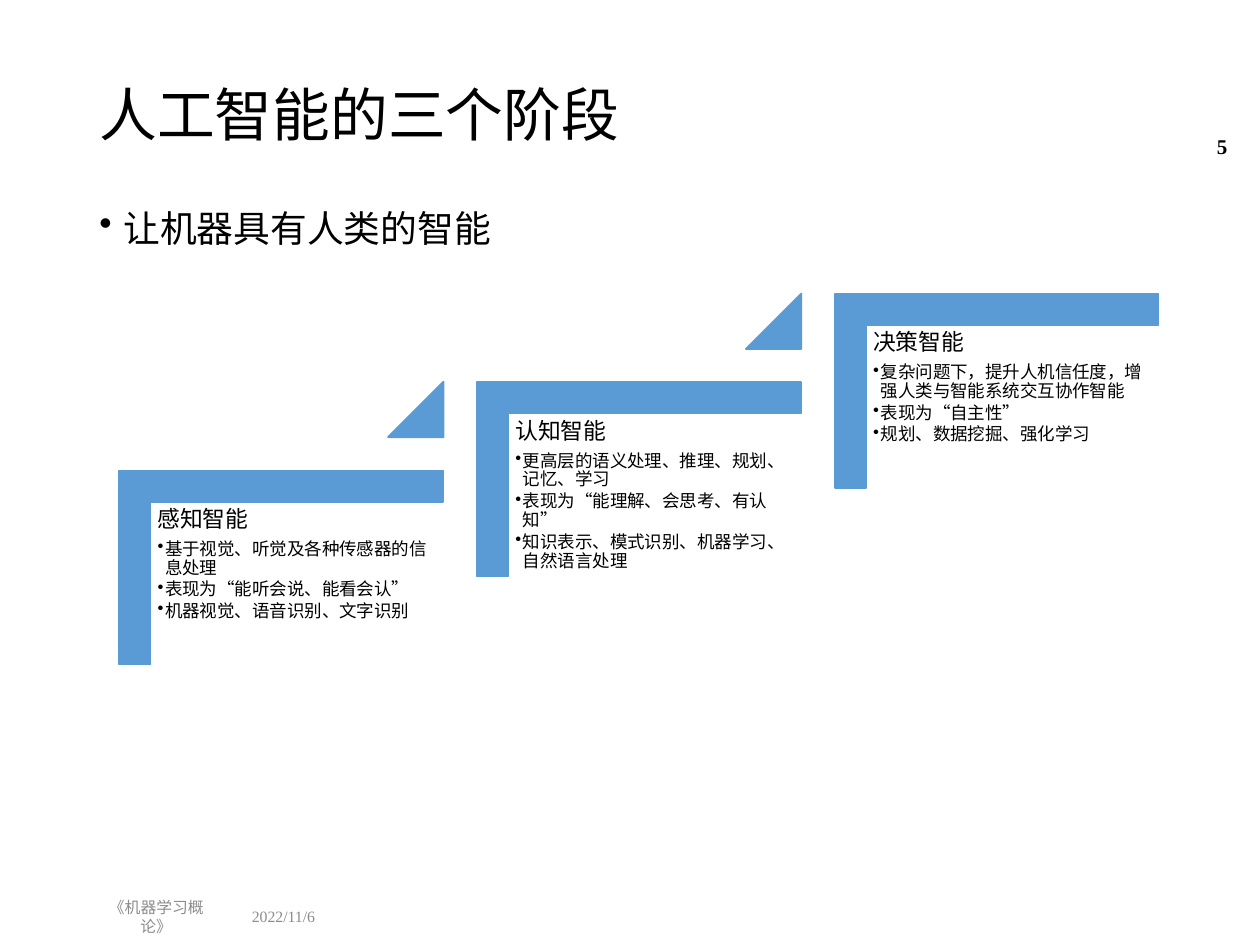
import pptx
import pptx.util
import pptx.dml.color
import pptx.enum.shapes
import pptx.enum.text
import pptx.oxml.ns
import lxml.etree

Inches, Pt = pptx.util.Inches, pptx.util.Pt
ALIGN = pptx.enum.text.PP_ALIGN
ANCHOR = pptx.enum.text.MSO_ANCHOR
SHAPE = pptx.enum.shapes.MSO_SHAPE
FONT, BLACK, GREY, BLUE = "Times New Roman", "000000", "8C8C8C", "5B9BD5"

# Content
TITLE = "人工智能的三个阶段"
STATEMENT = "让机器具有人类的智能"
STAGES = [
    ("感知智能", ["基于视觉、听觉及各种传感器的信息处理",
              "表现为“能听会说、能看会认”",
              "机器视觉、语音识别、文字识别"]),
    ("认知智能", ["更高层的语义处理、推理、规划、记忆、学习",
              "表现为“能理解、会思考、有认知”",
              "知识表示、模式识别、机器学习、自然语言处理"]),
    ("决策智能", ["复杂问题下，提升人机信任度，增强人类与智能系统交互协作智能",
              "表现为“自主性”",
              "规划、数据挖掘、强化学习"]),
]
FOOTERS = [  # text, box, size, colour, bold, alignment
    ("2022/11/6", (1.9, 7.13, 0.91, 0.29), 9, GREY, False, ALIGN.LEFT),
    ("《机器学习概论》", (0.69, 7.13, 1.1, 0.29), 9, GREY, False, ALIGN.CENTER),
    ("5", (9.15, 0.96, 0.69, 0.4), 12, BLACK, True, ALIGN.RIGHT),
]

# Staircase geometry: each stage moves right and up by one step
STEP_X, STEP_Y = 2.84, 0.7
CORNER = (1.46, 3.22, 1.54, 2.57)
STAGE_TEXT = (1.2, 3.98, 2.32, 2.03)
TRIANGLE = (3.08, 3.03, 0.44, 0.44)


def color(value):
    return pptx.dml.color.RGBColor.from_string(value)


def step(box, index):
    left, top, width, height = box
    return left + index * STEP_X, top - index * STEP_Y, width, height


def add_box(slide, box, anchor=ANCHOR.TOP, inset=None):
    frame = slide.shapes.add_textbox(*map(Inches, box)).text_frame
    frame.word_wrap = True
    frame.vertical_anchor = anchor
    if inset is not None:
        frame.margin_left = frame.margin_right = Inches(inset)
        frame.margin_top = frame.margin_bottom = Inches(inset)
    return frame


def write(paragraph, text, size, fill=BLACK, bold=False, align=ALIGN.LEFT,
          spacing=0.9, after=0, indent=None):
    if indent:
        properties = paragraph._p.get_or_add_pPr()
        properties.set("marL", str(Inches(indent)))
        properties.set("indent", str(-Inches(indent)))
        bullet = lxml.etree.SubElement(properties, pptx.oxml.ns.qn("a:buChar"))
        bullet.set("char", "•")
    paragraph.alignment = align
    paragraph.line_spacing = spacing
    paragraph.space_after = Pt(after)
    run = paragraph.add_run()
    run.text = text
    run.font.name = FONT
    run.font.size = Pt(size)
    run.font.bold = bold
    run.font.color.rgb = color(fill)


def add_blue_shape(slide, kind, box, adjustments, rotation=0):
    shape = slide.shapes.add_shape(kind, *map(Inches, box))
    shape.shadow.inherit = False
    shape.rotation = rotation
    for index, value in enumerate(adjustments):
        shape.adjustments[index] = value
    shape.fill.solid()
    shape.fill.fore_color.rgb = color(BLUE)
    shape.line.color.rgb = color(BLUE)
    shape.line.width = Pt(1)
    return shape


def add_corner(slide, box):
    # The "corner" preset has no MSO_SHAPE member; half frame shares its adjustments
    shape = add_blue_shape(slide, SHAPE.HALF_FRAME, box, (0.161, 0.161), 90)
    geometry = shape._element.spPr.find(pptx.oxml.ns.qn("a:prstGeom"))
    geometry.set("prst", "corner")


def main():
    presentation = pptx.Presentation()
    presentation.slide_width, presentation.slide_height = Inches(10), Inches(7.5)
    slide = presentation.slides.add_slide(presentation.slide_layouts[6])

    # Title and statement
    frame = add_box(slide, (0.69, 0.4, 8.62, 1.07), ANCHOR.MIDDLE)
    write(frame.paragraphs[0], TITLE, 33)
    frame = add_box(slide, (0.69, 1.62, 8.62, 5.39))
    write(frame.paragraphs[0], STATEMENT, 21, indent=0.19)

    # Date, course name and page number
    for text, box, size, fill, bold, align in FOOTERS:
        frame = add_box(slide, box, ANCHOR.MIDDLE)
        write(frame.paragraphs[0], text, size, fill, bold, align, spacing=1)

    # Three stages, with a triangle between neighbours
    for index, (heading, points) in enumerate(STAGES):
        add_corner(slide, step(CORNER, index))
        frame = add_box(slide, step(STAGE_TEXT, index), inset=0.05)
        write(frame.paragraphs[0], heading, 13, after=4.5)
        for point in points:
            write(frame.add_paragraph(), point, 10, after=1.5, indent=0.06)
        if index < len(STAGES) - 1:
            add_blue_shape(slide, SHAPE.ISOSCELES_TRIANGLE,
                           step(TRIANGLE, index), (1,))

    presentation.save("out.pptx")


if __name__ == "__main__":
    main()
